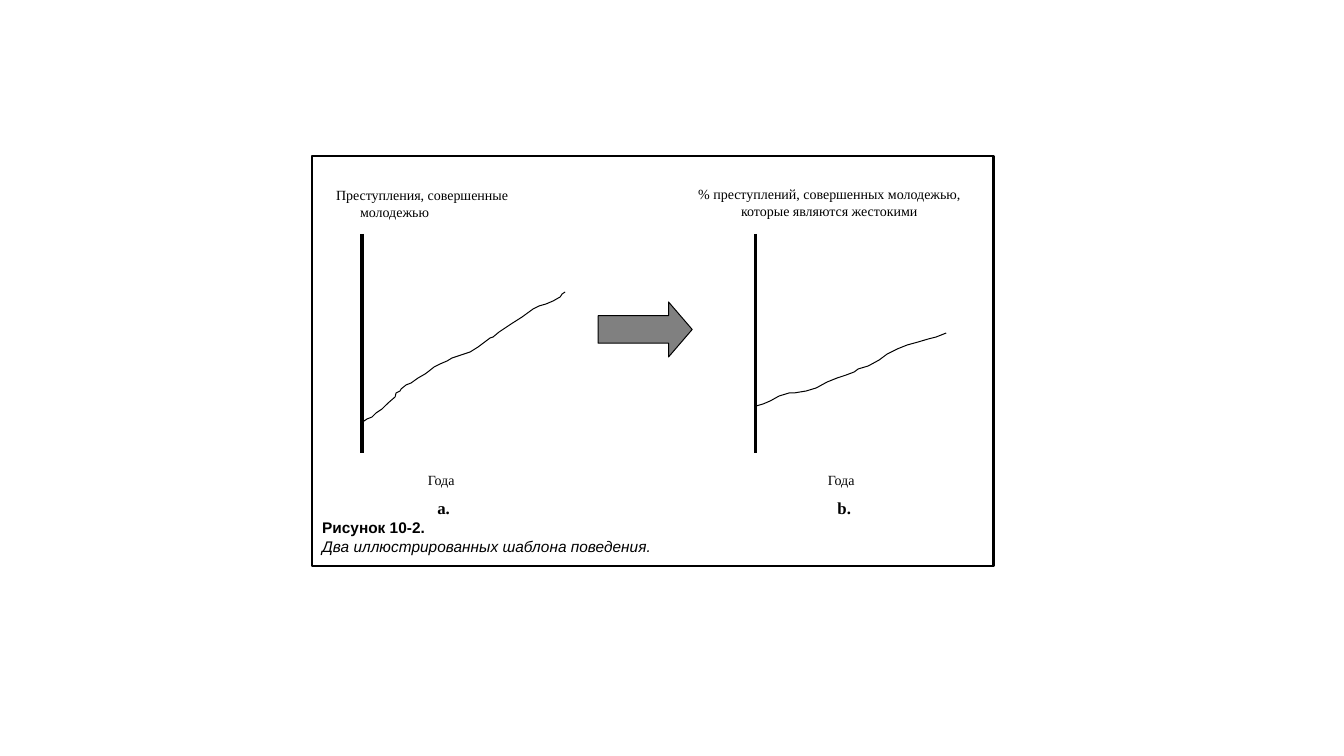
from lxml import etree
from pptx import Presentation
from pptx import util as u
from pptx.dml.color import RGBColor
from pptx.enum import shapes, text
from pptx.oxml.ns import qn

SCALE = 914400 / 100.8
SERIF = "Times New Roman"
SANS = "Arial"
BLACK = "000000"
GREY = "808080"


def px(value):
    return u.Emu(round(value * SCALE))


def color(value):
    return RGBColor.from_string(value)


def apply(target, values):
    for name, value in values.items():
        setattr(target, name, value)


class Figure:
    thin = 0.72

    def __init__(self, slide):
        self.slide = slide

    def outline(self, shape, width):
        shape.line.color.rgb = color(BLACK)
        shape.line.width = u.Pt(width)

    def finish(self, shape, width, fill=None):
        shape.shadow.inherit = False
        if fill:
            shape.fill.solid()
            shape.fill.fore_color.rgb = color(fill)
        else:
            shape.fill.background()
        self.outline(shape, width)
        return shape

    def shape(self, kind, box, width, fill=None):
        shape = self.slide.shapes.add_shape(kind, *map(px, box))
        return self.finish(shape, width, fill)

    def axis(self, x, top, bottom):
        line = self.slide.shapes.add_connector(
            shapes.MSO_CONNECTOR.STRAIGHT, px(x), px(top), px(x), px(bottom))
        self.outline(line, 2.28)
        etree.SubElement(line._element.spPr, qn("a:effectLst"))

    def curve(self, points):
        builder = self.slide.shapes.build_freeform(*points[0], scale=SCALE)
        builder.add_line_segments(points[1:], close=False)
        self.finish(builder.convert_to_shape(), self.thin)

    def text(self, box, paragraphs):
        frame = self.slide.shapes.add_textbox(*map(px, box)).text_frame
        apply(frame, dict(word_wrap=True, margin_left=0, margin_top=0,
                          margin_right=0, margin_bottom=0))
        for index, (words, font, layout, indents) in enumerate(paragraphs):
            paragraph = frame.add_paragraph() if index else frame.paragraphs[0]
            apply(paragraph, layout)
            properties = paragraph._p.get_or_add_pPr()
            for name, value in indents.items():
                properties.set(name, str(px(value)))
            run = paragraph.add_run()
            run.text = words
            apply(run.font, font)
            run.font.color.rgb = color(BLACK)


presentation = Presentation()
presentation.slide_width = u.Inches(13.33)
presentation.slide_height = u.Inches(7.5)
figure = Figure(presentation.slides.add_slide(presentation.slide_layouts[6]))

crimes = [
    (362, 422), (364, 421), (367, 419), (372, 417), (376, 413), (382, 409),
    (388, 403), (395, 397), (396, 393), (400, 391), (401, 389), (406, 385),
    (411, 383), (418, 378), (425, 374), (429, 371), (434, 367), (440, 364),
    (447, 361), (452, 358), (461, 355), (470, 352), (478, 347), (486, 341),
    (490, 338), (493, 337), (499, 332), (511, 324), (522, 317), (533, 309),
    (539, 306), (546, 304), (553, 301), (560, 297), (562, 294), (565, 292)]
violent_share = [
    (756, 406), (763, 404), (770, 401), (779, 396), (789, 393), (794, 393),
    (806, 391), (816, 388), (827, 382), (837, 378), (846, 375), (854, 372),
    (858, 369), (868, 366), (879, 360), (887, 354), (897, 349), (907, 345),
    (918, 342), (928, 339), (936, 337), (946, 333)]

label = dict(name=SERIF, size=u.Pt(10))
letter = dict(name=SERIF, size=u.Pt(12), bold=True)
caption = dict(name=SANS, size=u.Pt(11))
centered = dict(alignment=text.PP_ALIGN.CENTER)
year_layout = dict(centered, line_spacing=u.Pt(11.1))
letter_layout = dict(centered, space_before=u.Pt(6.8))

figure.shape(shapes.MSO_SHAPE.RECTANGLE, (312, 156, 681, 410), 2.04)

for axis_x, points, years_x, name, indent in (
        (362, crimes, 423, "a.", 5), (755, violent_share, 823, "b.", 6)):
    figure.axis(axis_x, 234, 453)
    figure.curve(points)
    figure.text((years_x, 473, 36, 48), [
        ("Года", label, year_layout, {}),
        (name, letter, letter_layout, dict(marL=indent))])

arrow = figure.shape(shapes.MSO_SHAPE.RIGHT_ARROW, (598, 302, 94, 55),
                     figure.thin, GREY)
arrow.adjustments[0] = 0.5
arrow.adjustments[1] = 0.43

figure.text((336, 186, 175, 32), [
    ("Преступления, совершенные молодежью", label,
     dict(line_spacing=1.01), dict(marL=24, indent=-24))])
figure.text((691, 186, 276, 52), [
    ("% преступлений, совершенных молодежью, которые являются жестокими",
     label, centered, {})])
figure.text((322, 518, 350, 41), [
    ("Рисунок 10-2.", dict(caption, bold=True),
     dict(line_spacing=u.Pt(13.3)), {}),
    ("Два иллюстрированных шаблона поведения.", dict(caption, italic=True),
     dict(space_before=u.Pt(0.2)), {})])

presentation.save("out.pptx")
